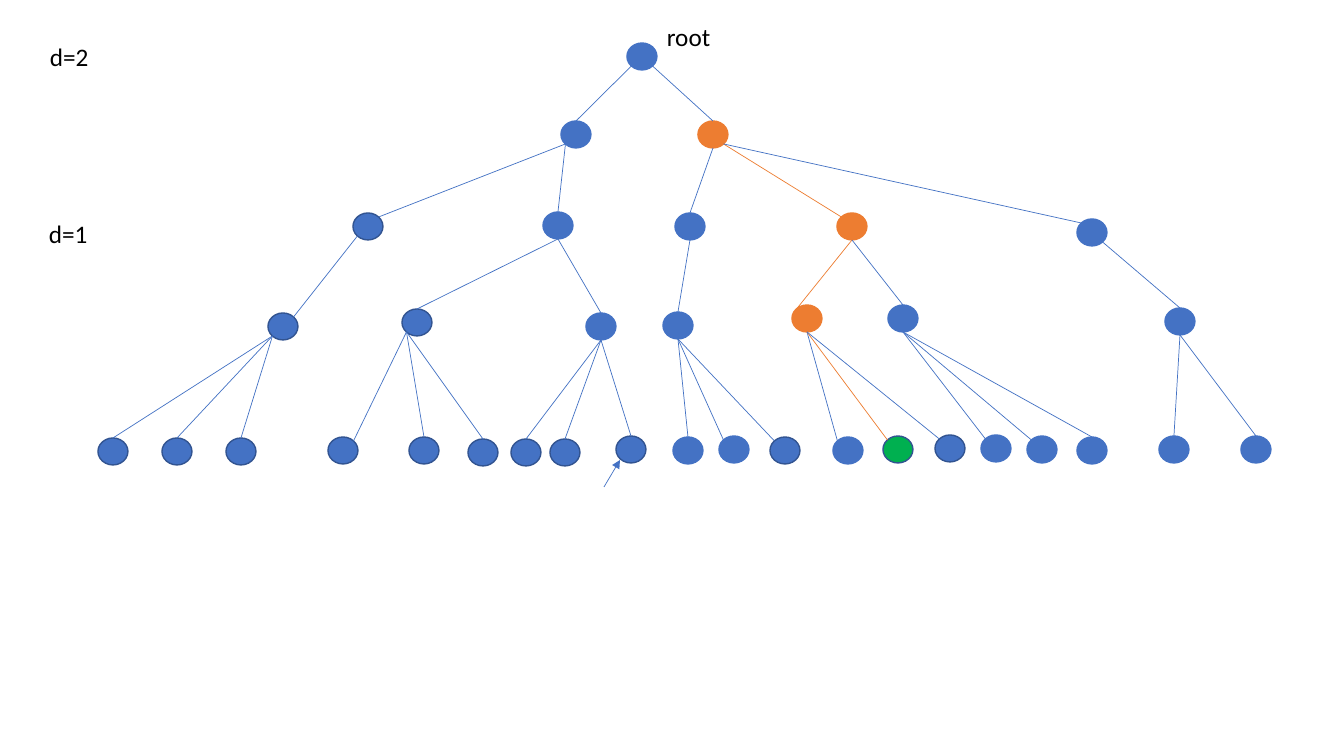
from lxml import etree
from pptx import Presentation
from pptx.dml.color import RGBColor
from pptx.enum.shapes import MSO_CONNECTOR, MSO_SHAPE
from pptx.enum.text import MSO_AUTO_SIZE
from pptx.oxml.ns import qn
from pptx.util import Inches, Pt

OVAL = MSO_SHAPE.OVAL
LINE = MSO_CONNECTOR.STRAIGHT
GROW = MSO_AUTO_SIZE.SHAPE_TO_FIT_TEXT

BLUE = RGBColor(0x44, 0x72, 0xC4)
NAVY = RGBColor(0x32, 0x54, 0x91)
ORANGE = RGBColor(0xED, 0x7D, 0x31)
GREEN = RGBColor(0x00, 0xB0, 0x50)
BLACK = RGBColor(0, 0, 0)

SCALE = Inches(1) / 100.8
WIDE, HIGH = 30, 27
SITES = {
    "N": (0.5, 0), "NW": (0.15, 0.15), "NE": (0.85, 0.15),
    "S": (0.5, 1), "SW": (0.15, 0.85), "SE": (0.85, 0.85),
}

# Each key is its parent's key plus one letter: left, top, exit, entry, fill, rim.
NODES = {
    "r": (627, 43, None, None, BLUE, BLUE),
    "ra": (561, 121, "SW", "N", BLUE, BLUE),
    "rb": (698, 121, "SE", "N", ORANGE, ORANGE),
    "raa": (353, 213, "SW", "NE", BLUE, NAVY),
    "rab": (543, 212, "SW", "N", BLUE, BLUE),
    "rba": (675, 213, "S", "N", BLUE, BLUE),
    "rbb": (837, 213, "SE", "NW", ORANGE, ORANGE),
    "rbc": (1077, 219, "SE", "NW", BLUE, BLUE),
    "raaa": (268, 313, "SW", "NE", BLUE, NAVY),
    "raba": (402, 309, "S", "N", BLUE, NAVY),
    "rabb": (586, 313, "S", "N", BLUE, BLUE),
    "rbaa": (663, 312, "S", "N", BLUE, BLUE),
    "rbba": (792, 305, "S", "NW", ORANGE, ORANGE),
    "rbbb": (888, 305, "S", "N", BLUE, BLUE),
    "rbca": (1165, 308, "SE", "N", BLUE, BLUE),
    "raaaa": (98, 438, "SW", "N", BLUE, NAVY),
    "raaab": (162, 438, "SW", "N", BLUE, NAVY),
    "raaac": (226, 438, "SW", "N", BLUE, NAVY),
    "rabaa": (328, 437, "SW", "NE", BLUE, NAVY),
    "rabab": (409, 437, "SW", "N", BLUE, NAVY),
    "rabac": (468, 439, "SW", "N", BLUE, NAVY),
    "rabba": (511, 439, "S", "N", BLUE, NAVY),
    "rabbb": (550, 439, "S", "N", BLUE, NAVY),
    "rabbc": (616, 436, "S", "N", BLUE, NAVY),
    "rbaaa": (673, 437, "S", "N", BLUE, BLUE),
    "rbaab": (719, 436, "S", "NW", BLUE, BLUE),
    "rbaac": (770, 437, "S", "NW", BLUE, NAVY),
    "rbbaa": (833, 437, "S", "NW", BLUE, BLUE),
    "rbbab": (883, 436, "S", "NW", GREEN, NAVY),
    "rbbac": (935, 435, "S", "NW", BLUE, NAVY),
    "rbbba": (981, 435, "S", "NW", BLUE, BLUE),
    "rbbbb": (1027, 436, "S", "NW", BLUE, BLUE),
    "rbbbc": (1077, 437, "S", "N", BLUE, BLUE),
    "rbcaa": (1159, 436, "S", "N", BLUE, BLUE),
    "rbcab": (1241, 436, "S", "N", BLUE, BLUE),
}
LABELS = [("root", 657, 16, 65, False), ("d=2", 40, 36, 137, True),
          ("d=1", 39, 213, 137, True)]


def emu(*sizes):
    """Turn pixels into EMU."""
    return [round(size * SCALE) for size in sizes]


def add_node(slide, left, top, fill, rim):
    """Draw one tree node."""
    node = slide.shapes.add_shape(OVAL, *emu(left, top, WIDE, HIGH))
    node.shadow.inherit = False
    node.fill.solid()
    node.fill.fore_color.rgb = fill
    node.line.color.rgb = rim
    node.line.width = Pt(1)


def add_line(slide, start, end, color=BLUE, arrow=False):
    """Draw a thin line, with an arrowhead at its end if asked."""
    line = slide.shapes.add_connector(LINE, *emu(*start, *end))
    line.line.color.rgb = color
    line.line.width = Pt(0.5)
    props = line.element.spPr
    if arrow:
        etree.SubElement(props.find(qn("a:ln")), qn("a:tailEnd"), type="triangle")
    etree.SubElement(props, qn("a:effectLst"))


def add_text(slide, text, left, top, width, wrap=True, size=18, color=BLACK):
    """Write a label."""
    frame = slide.shapes.add_textbox(*emu(left, top, width, 40)).text_frame
    frame.word_wrap = wrap
    frame.auto_size = GROW
    run = frame.paragraphs[0].add_run()
    run.text = text
    run.font.name = "Calibri"
    run.font.size = Pt(size)
    run.font.color.rgb = color


def find_site(key, side):
    """Find where a line meets a node."""
    left, top = NODES[key][:2]
    across, down = SITES[side]
    return left + across * WIDE, top + down * HIGH


def add_tree(slide):
    """Draw all nodes, then the lines from parent to child."""
    for left, top, _, _, fill, rim in NODES.values():
        add_node(slide, left, top, fill, rim)
    for key, (_, _, leave, enter, fill, _) in NODES.items():
        root = key[:-1]
        if root:
            route = NODES[root][4] == ORANGE and fill != BLUE
            add_line(slide, find_site(root, leave), find_site(key, enter),
                     ORANGE if route else BLUE)


def main():
    """Build the slide and save it."""
    deck = Presentation()
    deck.slide_width, deck.slide_height = emu(1344, 756)
    slide = deck.slides.add_slide(deck.slide_layouts[6])
    add_tree(slide)
    for text, left, top, width, wrap in LABELS:
        add_text(slide, text, left, top, width, wrap=wrap)
    add_line(slide, (604, 487), (620, 460), arrow=True)
    deck.save("out.pptx")


main()
